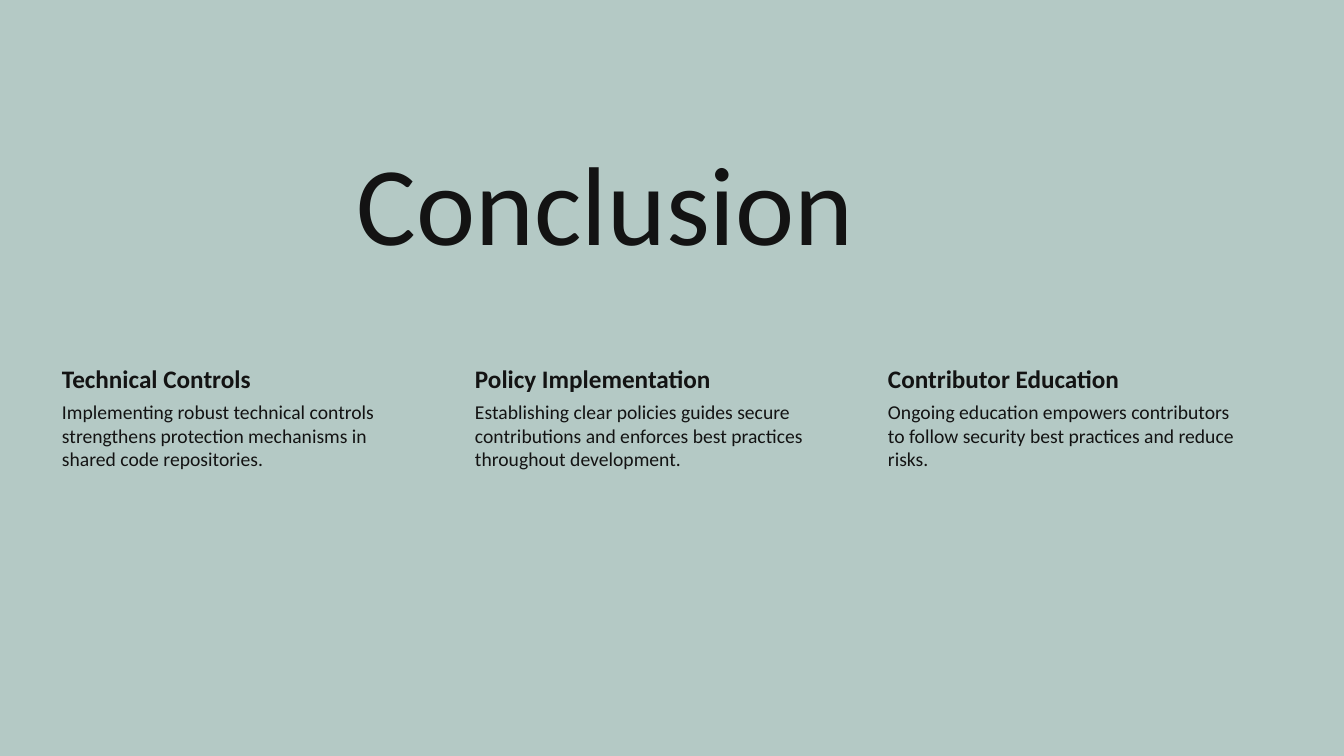
"""Build the Conclusion slide with three takeaway columns."""
from pptx import Presentation
from pptx.dml.color import RGBColor
from pptx.enum.text import MSO_ANCHOR
from pptx.util import Pt

EMU_PER_PX = 914400 / 100.8
BACKGROUND = "B4C9C5"
INK = "131313"
COLUMN_LEFT = 47
COLUMN_STEP = 413
COLUMN_WIDTH = 375
TAKEAWAYS = [
    ("Technical Controls",
     "Implementing robust technical controls strengthens protection "
     "mechanisms in shared code repositories."),
    ("Policy Implementation",
     "Establishing clear policies guides secure contributions and "
     "enforces best practices throughout development."),
    ("Contributor Education",
     "Ongoing education empowers contributors to follow security best "
     "practices and reduce risks."),
]


def px(length):
    return round(length * EMU_PER_PX)


def add_text(text, left, top, width, height, size, insets, bold=False):
    box = slide.shapes.add_textbox(px(left), px(top), px(width), px(height))
    frame = box.text_frame
    frame.word_wrap = True
    frame.margin_left = px(insets[0])
    frame.margin_right = px(insets[1])
    frame.margin_top = frame.margin_bottom = px(insets[2])
    frame.text = text
    font = frame.paragraphs[0].runs[0].font
    font.name = "Calibri"
    font.size = Pt(size)
    font.bold = bold
    font.color.rgb = RGBColor.from_string(INK)
    return frame


presentation = Presentation()
presentation.slide_width = px(1344)
presentation.slide_height = px(756)
slide = presentation.slides.add_slide(presentation.slide_layouts[6])
slide.background.fill.solid()
slide.background.fill.fore_color.rgb = RGBColor.from_string(BACKGROUND)

title = add_text("Conclusion", 347, 96, 1200, 179, 80, (10, 10, 5))
title.vertical_anchor = MSO_ANCHOR.BOTTOM
title.paragraphs[0].line_spacing = 0.9

for index, (heading, detail) in enumerate(TAKEAWAYS):
    left = COLUMN_LEFT + index * COLUMN_STEP
    add_text(heading, left, 360, COLUMN_WIDTH, 38, 18, (15, 3, 3), bold=True)
    add_text(detail, left, 398, COLUMN_WIDTH, 267, 14, (15, 2, 2))

presentation.save("out.pptx")
